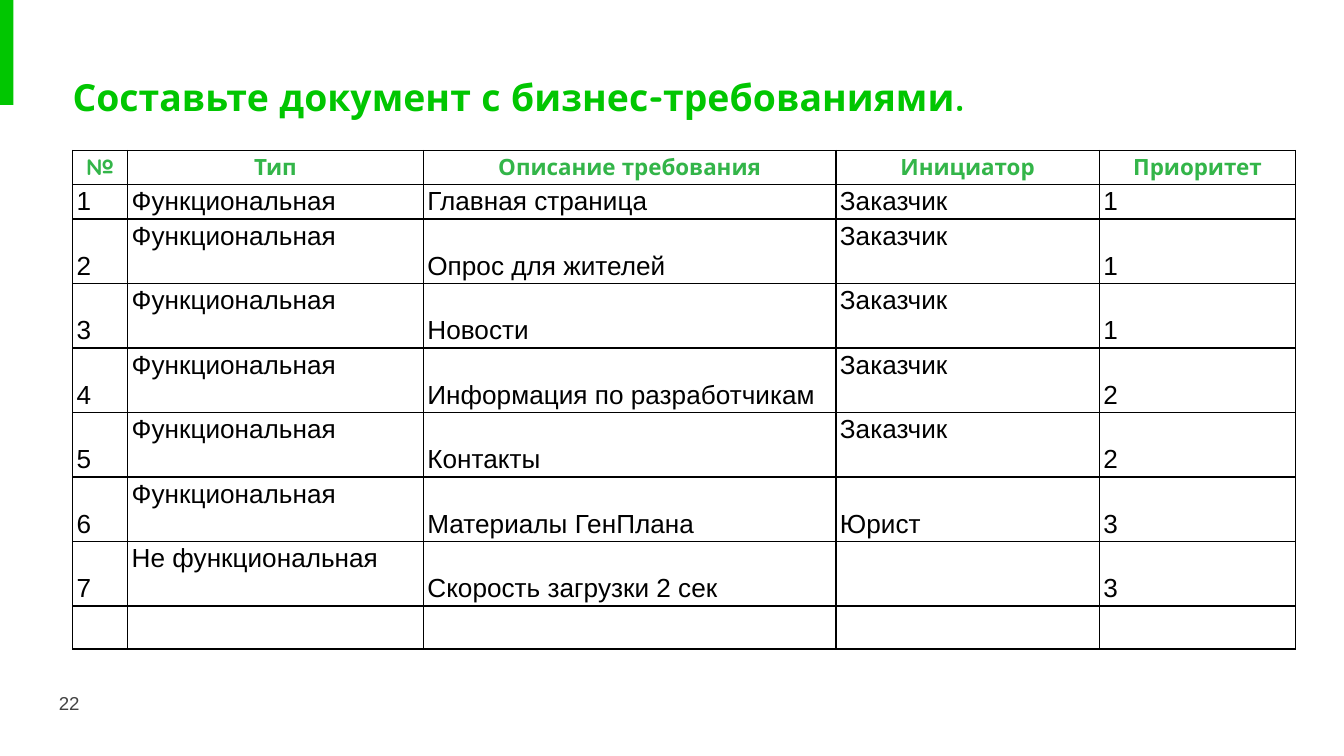
import pptx
import pptx.dml.color
import pptx.enum.shapes
import pptx.enum.text
import pptx.oxml
import pptx.oxml.ns
import pptx.util
from pptx.util import Inches

RGBColor = pptx.dml.color.RGBColor
Anchor = pptx.enum.text.MSO_ANCHOR
Align = pptx.enum.text.PP_ALIGN

GREEN = RGBColor(0x01, 0xC6, 0x01)
HEADER_GREEN = RGBColor(0x33, 0xB5, 0x49)
GRAY = RGBColor(0x43, 0x43, 0x43)
BLACK = RGBColor(0, 0, 0)

HEADERS = ["№", "Тип", "Описание требования", "Инициатор", "Приоритет"]
REQUIREMENTS = [
    ("Функциональная", "Главная страница", "Заказчик", "1"),
    ("Функциональная", "Опрос для жителей", "Заказчик", "1"),
    ("Функциональная", "Новости", "Заказчик", "1"),
    ("Функциональная", "Информация по разработчикам", "Заказчик", "2"),
    ("Функциональная", "Контакты", "Заказчик", "2"),
    ("Функциональная", "Материалы ГенПлана", "Юрист", "3"),
    ("Не функциональная", "Скорость загрузки 2 сек", "", "3"),
]
COLUMN_WIDTHS = [0.41, 2.2, 3.07, 1.96, 1.46]
ROW_HEIGHTS = [0.25, 0.26] + [0.48] * 6 + [0.32]
TOP_ANCHORED = {"Функциональная", "Не функциональная", "Заказчик"}


def format_text(text_frame, size, font_name, color, bold=False, align=Align.LEFT):
    for paragraph in text_frame.paragraphs:
        paragraph.alignment = align
        for run in paragraph.runs:
            run.font.size = pptx.util.Pt(size)
            run.font.name = font_name
            run.font.bold = bold
            run.font.color.rgb = color


def add_accent_bar(slide):
    bar = slide.shapes.add_shape(
        pptx.enum.shapes.MSO_SHAPE.RECTANGLE, 0, 0, Inches(0.1), Inches(0.78))
    bar.shadow.inherit = False
    bar.fill.solid()
    bar.fill.fore_color.rgb = GREEN
    bar.line.fill.background()


def set_title(slide, text):
    title = slide.shapes.title
    title.left, title.top = Inches(0.54), Inches(0.45)
    title.width, title.height = Inches(8.08), Inches(0.75)
    text_frame = title.text_frame
    text_frame.margin_left = 0
    text_frame.margin_right = text_frame.margin_top = text_frame.margin_bottom = Inches(0.1)
    text_frame.vertical_anchor = Anchor.TOP
    text_frame.word_wrap = True
    text_frame.text = text
    format_text(text_frame, 20, "Quicksand", GREEN, bold=True)


def set_borders(cell):
    properties = cell._tc.get_or_add_tcPr()
    for position, side in enumerate(("lnL", "lnR", "lnT", "lnB")):
        border = pptx.oxml.parse_xml(
            f'<a:{side} {pptx.oxml.ns.nsdecls("a")} w="9525"><a:solidFill>'
            f'<a:srgbClr val="{BLACK}"/></a:solidFill></a:{side}>')
        properties.insert(position, border)


def fill_cell(cell, text, is_header, anchor):
    cell.margin_left = cell.margin_right = Inches(0.03)
    cell.margin_top = cell.margin_bottom = Inches(0.02 if text else 0)
    cell.vertical_anchor = anchor
    cell.fill.background()
    set_borders(cell)
    if not text:
        return
    cell.text_frame.text = text
    if is_header:
        format_text(cell.text_frame, 12, "Quicksand", HEADER_GREEN, True, Align.CENTER)
    else:
        format_text(cell.text_frame, 14, "Arial", BLACK)


def add_requirements_table(slide):
    rows = [HEADERS]
    rows += [(str(number), *row) for number, row in enumerate(REQUIREMENTS, 1)]
    rows.append([""] * len(HEADERS))
    table = slide.shapes.add_table(
        len(rows), len(HEADERS), Inches(0.54), Inches(1.12),
        Inches(sum(COLUMN_WIDTHS)), Inches(sum(ROW_HEIGHTS))).table
    table.first_row = table.horz_banding = False
    for column, width in zip(table.columns, COLUMN_WIDTHS):
        column.width = Inches(width)
    for row_index, (row, height) in enumerate(zip(rows, ROW_HEIGHTS)):
        table.rows[row_index].height = Inches(height)
        for column_index, text in enumerate(row):
            is_header = row_index == 0
            anchor = Anchor.TOP if text in TOP_ANCHORED else Anchor.BOTTOM
            fill_cell(table.cell(row_index, column_index), text, is_header,
                      Anchor.MIDDLE if is_header else anchor)


def add_page_number(slide, number):
    box = slide.shapes.add_textbox(Inches(0.34), Inches(5.02), Inches(0.6), Inches(0.43))
    text_frame = box.text_frame
    text_frame.word_wrap = True
    text_frame.vertical_anchor = Anchor.MIDDLE
    text_frame.margin_left = text_frame.margin_right = Inches(0.1)
    text_frame.margin_top = text_frame.margin_bottom = Inches(0.1)
    text_frame.text = number
    format_text(text_frame, 10, "Arial", GRAY)


def main():
    presentation = pptx.Presentation()
    presentation.slide_width = Inches(10)
    presentation.slide_height = Inches(10 * 9 / 16)
    slide = presentation.slides.add_slide(presentation.slide_layouts[5])
    add_accent_bar(slide)
    set_title(slide, "Составьте документ с бизнес-требованиями.")
    add_requirements_table(slide)
    add_page_number(slide, "22")
    presentation.save("out.pptx")


if __name__ == "__main__":
    main()
